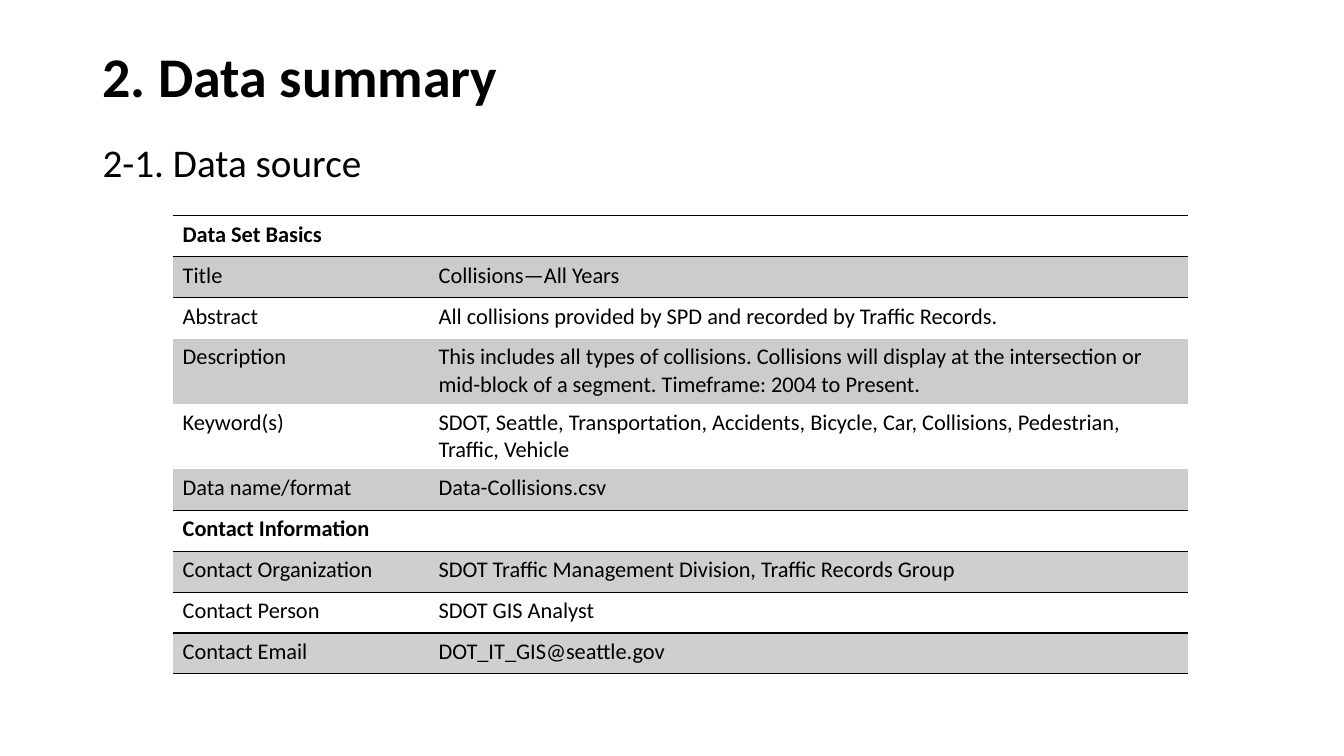
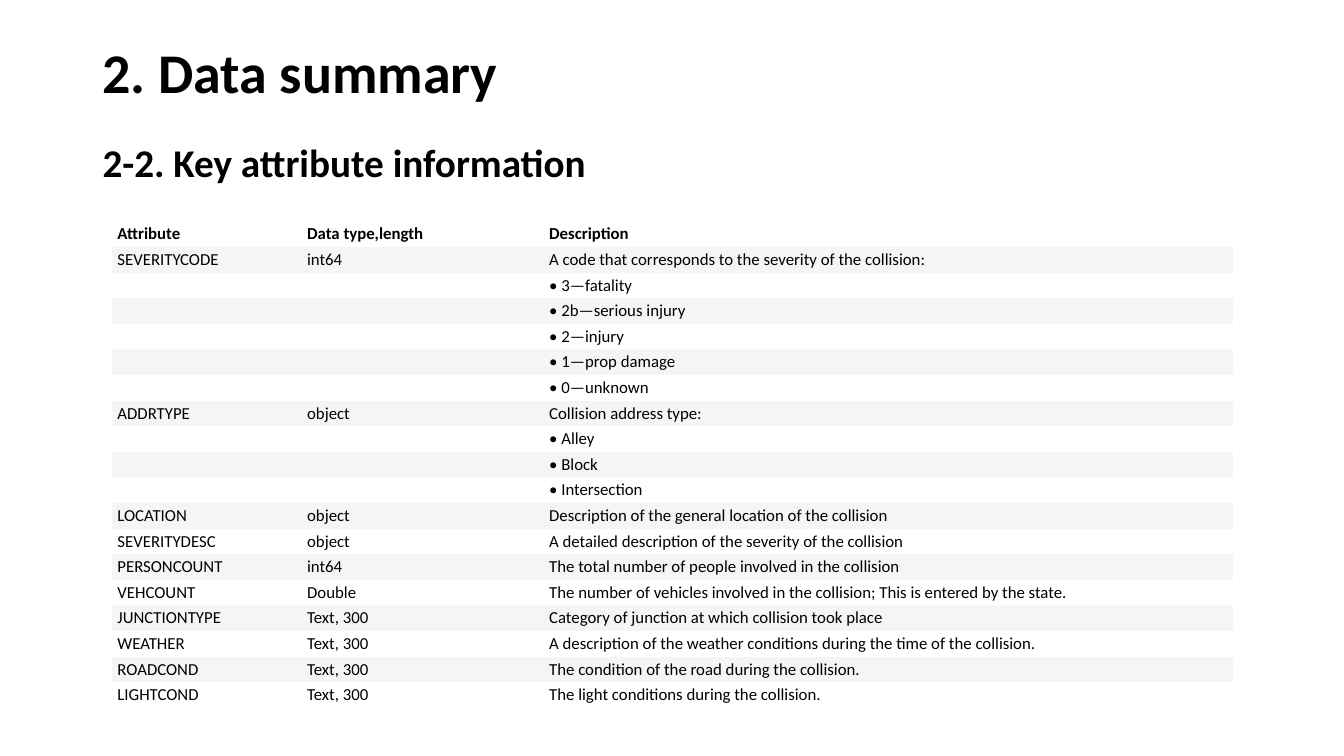
import pptx
import pptx.dml.color
import pptx.enum.text
import pptx.oxml.ns
import pptx.util
from dataclasses import dataclass
from lxml import etree

Cm = pptx.util.Cm
Pt = pptx.util.Pt
qn = pptx.oxml.ns.qn
Anchor = pptx.enum.text.MSO_ANCHOR

TITLE = "2. Data summary"

SOURCE_SECTIONS = [
    ("Data Set Basics", "CCCCCC", [
        ("Title", "Collisions—All Years"),
        ("Abstract", "All collisions provided by SPD and recorded by Traffic Records."),
        ("Description", "This includes all types of collisions. Collisions will display at the "
                        "intersection or mid-block of a segment. Timeframe: 2004 to Present."),
        ("Keyword(s)", "SDOT, Seattle, Transportation, Accidents, Bicycle, Car, Collisions, "
                       "Pedestrian, Traffic, Vehicle"),
        ("Data name/format", "Data-Collisions.csv"),
    ]),
    ("Contact Information", "D0CECE", [
        ("Contact Organization", "SDOT Traffic Management Division, Traffic Records Group"),
        ("Contact Person", "SDOT GIS Analyst"),
        ("Contact Email", "DOT_IT_GIS@seattle.gov"),
    ]),
]

ATTRIBUTES = [
    ("SEVERITYCODE", "int64", "A code that corresponds to the severity of the collision:",
     ["3—fatality", "2b—serious injury", "2—injury", "1—prop damage", "0—unknown"]),
    ("ADDRTYPE", "object", "Collision address type:", ["Alley", "Block", "Intersection"]),
    ("LOCATION", "object", "Description of the general location of the collision", []),
    ("SEVERITYDESC", "object", "A detailed description of the severity of the collision", []),
    ("PERSONCOUNT", "int64", "The total number of people involved in the collision", []),
    ("VEHCOUNT", "Double",
     "The number of vehicles involved in the collision; This is entered by the state.", []),
    ("JUNCTIONTYPE", "Text, 300", "Category of junction at which collision took place", []),
    ("WEATHER", "Text, 300",
     "A description of the weather conditions during the time of the collision.", []),
    ("ROADCOND", "Text, 300", "The condition of the road during the collision.", []),
    ("LIGHTCOND", "Text, 300", "The light conditions during the collision.", []),
]
ATTRIBUTE_HEADER = ("Attribute", "Data type,length", "Description")


@dataclass(frozen=True)
class Theme:
    font: str = "Calibri"
    ink: str = "000000"
    paper: str = "FFFFFF"
    light_band: str = "F5F5F5"
    title: int = 40
    subtitle: int = 28
    source_text: int = 16
    attribute_text: int = 12
    rule: int = 1
    plain_table: str = "{2D5ABB26-0587-4C30-8999-92F81FD0307C}"


THEME = Theme()


def rgb(value):
    return pptx.dml.color.RGBColor.from_string(value)


def write(frame, text, *, size, bold=False, spacing=None, before=None):
    para = frame.paragraphs[0]
    para.alignment = pptx.enum.text.PP_ALIGN.LEFT
    para.line_spacing = spacing
    para.space_before = before
    if not text:
        # An empty cell still takes its row height from this size.
        etree.SubElement(para._p, qn("a:endParaRPr"), sz=str(size * 100))
        return
    span = para.add_run()
    span.text = text
    span.font.name = THEME.font
    span.font.size = Pt(size)
    span.font.bold = bold
    span.font.color.rgb = rgb(THEME.ink)


def place(box, left, top, width, height):
    box.left, box.top, box.width, box.height = Cm(left), Cm(top), Cm(width), Cm(height)


def add_page(deck, subtitle, *, title_top, bold_subtitle):
    page = deck.slides.add_slide(deck.slide_layouts[1])
    title, body = page.placeholders
    place(title, 2.33, title_top, 29.21, 3.68)
    place(body, 2.33, 3.49, 29.21, 12.09)
    for box in (title, body):
        box.text_frame.auto_size = pptx.enum.text.MSO_AUTO_SIZE.NONE
    title.text_frame.vertical_anchor = Anchor.MIDDLE
    write(title.text_frame, TITLE, size=THEME.title, bold=True, spacing=0.9)
    write(body.text_frame, subtitle, size=THEME.subtitle, bold=bold_subtitle,
          spacing=0.9, before=Pt(10))
    properties = body.text_frame.paragraphs[0]._p.get_or_add_pPr()
    properties.set("marL", "0")
    properties.set("indent", "0")
    etree.SubElement(properties, qn("a:buNone"))
    return page


def add_plain_table(page, left, top, widths, heights):
    frame = page.shapes.add_table(len(heights), len(widths), Cm(left), Cm(top),
                                  Cm(sum(widths)), Cm(sum(heights)))
    table = frame.table
    table.first_row = table.horz_banding = False
    next(frame.element.iter(qn("a:tableStyleId"))).text = THEME.plain_table
    for column, width in zip(table.columns, widths):
        column.width = Cm(width)
    for row, height in zip(table.rows, heights):
        row.height = Cm(height)
    return table


def add_rule(cell, side):
    """Draw a border line on the cell; call before setting its fill."""
    line = etree.SubElement(cell._tc.get_or_add_tcPr(), qn("a:" + side),
                            w=str(Pt(THEME.rule)))
    fill = etree.SubElement(line, qn("a:solidFill"))
    etree.SubElement(fill, qn("a:srgbClr"), val=THEME.ink)


def paint(cell, color):
    cell.fill.solid()
    cell.fill.fore_color.rgb = rgb(color)


def add_source_table(page):
    rows, headings = [], set()
    for heading, band, entries in SOURCE_SECTIONS:
        headings.add(len(rows))
        rows.append((heading, "", band))
        rows += [(*entry, band) for entry in entries]
    first_contact = max(headings) + 1
    ruled_edges = {edge for h in headings for edge in (h, h + 1)}
    ruled_edges |= {first_contact + 1, len(rows)}

    heights = [1.65 if len(value) > 85 else 1.03 for _, value, _ in rows]
    table = add_plain_table(page, 4.35, 5.44, (6.45, 19.15), heights)
    for r, (label, value, band) in enumerate(rows):
        for c, text in enumerate((label, value)):
            cell = table.cell(r, c)
            for side, edge in (("lnT", r), ("lnB", r + 1)):
                if edge in ruled_edges:
                    add_rule(cell, side)
            paint(cell, band if r % 2 else THEME.paper)
            write(cell.text_frame, text, size=THEME.source_text, bold=r in headings)
        if r in headings:
            table.cell(r, 0).merge(table.cell(r, 1))


def add_attribute_table(page):
    rows = [ATTRIBUTE_HEADER]
    for name, kind, description, options in ATTRIBUTES:
        rows.append((name, kind, description))
        rows += [("", "", "• " + option) for option in options]

    heights = [12.26 / len(rows)] * len(rows)
    table = add_plain_table(page, 2.83, 5.58, (4.78, 6.1, 17.37), heights)
    for r, row in enumerate(rows):
        for c, text in enumerate(row):
            cell = table.cell(r, c)
            cell.vertical_anchor = Anchor.MIDDLE
            cell.margin_left = cell.margin_right = Cm(0.13)
            cell.margin_top = cell.margin_bottom = Cm(0.06)
            paint(cell, THEME.light_band if r % 2 else THEME.paper)
            write(cell.text_frame, text, size=THEME.attribute_text, bold=r == 0)


def main():
    deck = pptx.Presentation()
    deck.slide_width, deck.slide_height = Cm(33.87), Cm(19.05)
    add_source_table(add_page(deck, "2-1. Data source", title_top=0.15, bold_subtitle=False))
    add_attribute_table(add_page(deck, "2-2. Key attribute information",
                                 title_top=0.05, bold_subtitle=True))
    deck.save("out.pptx")


if __name__ == "__main__":
    main()
